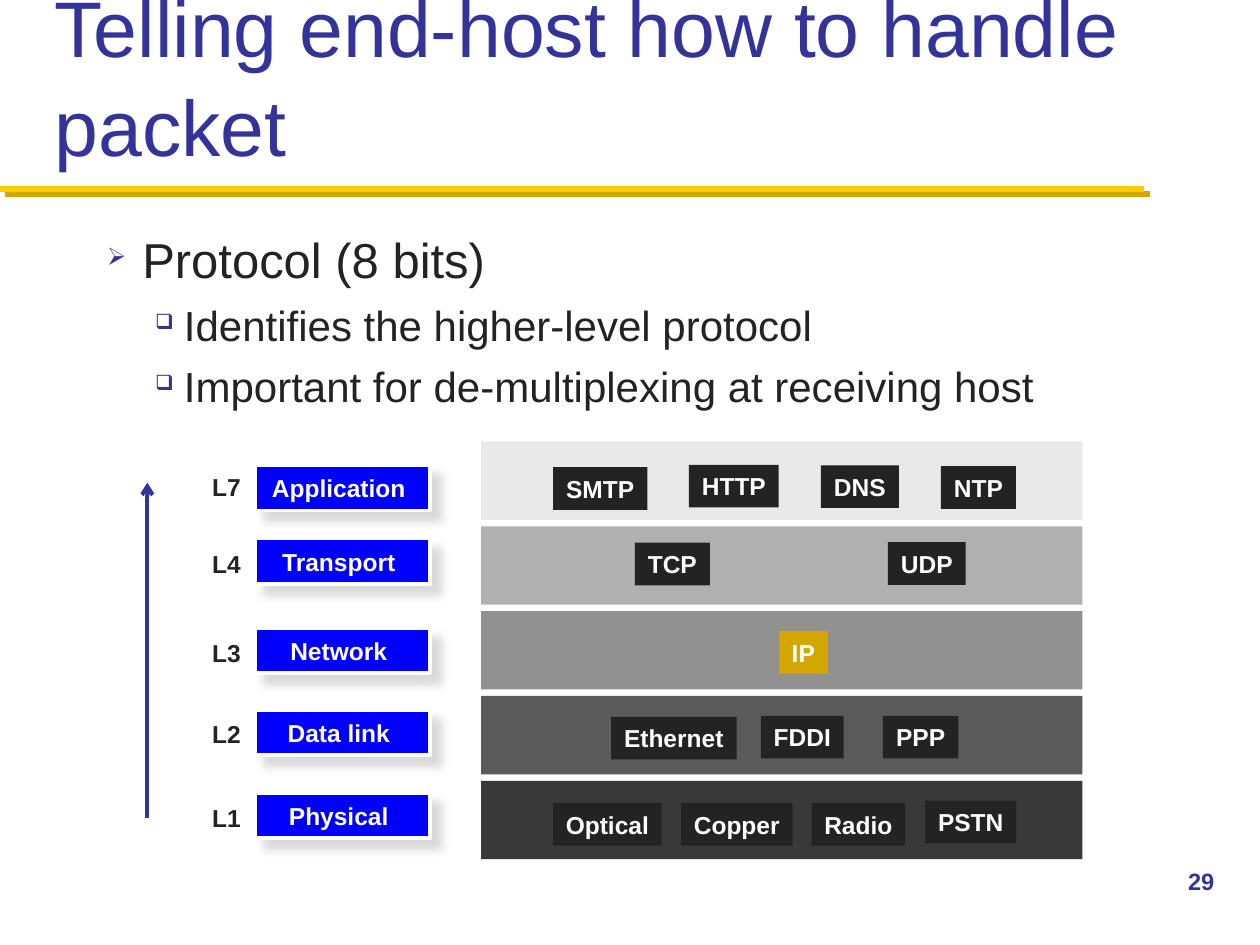
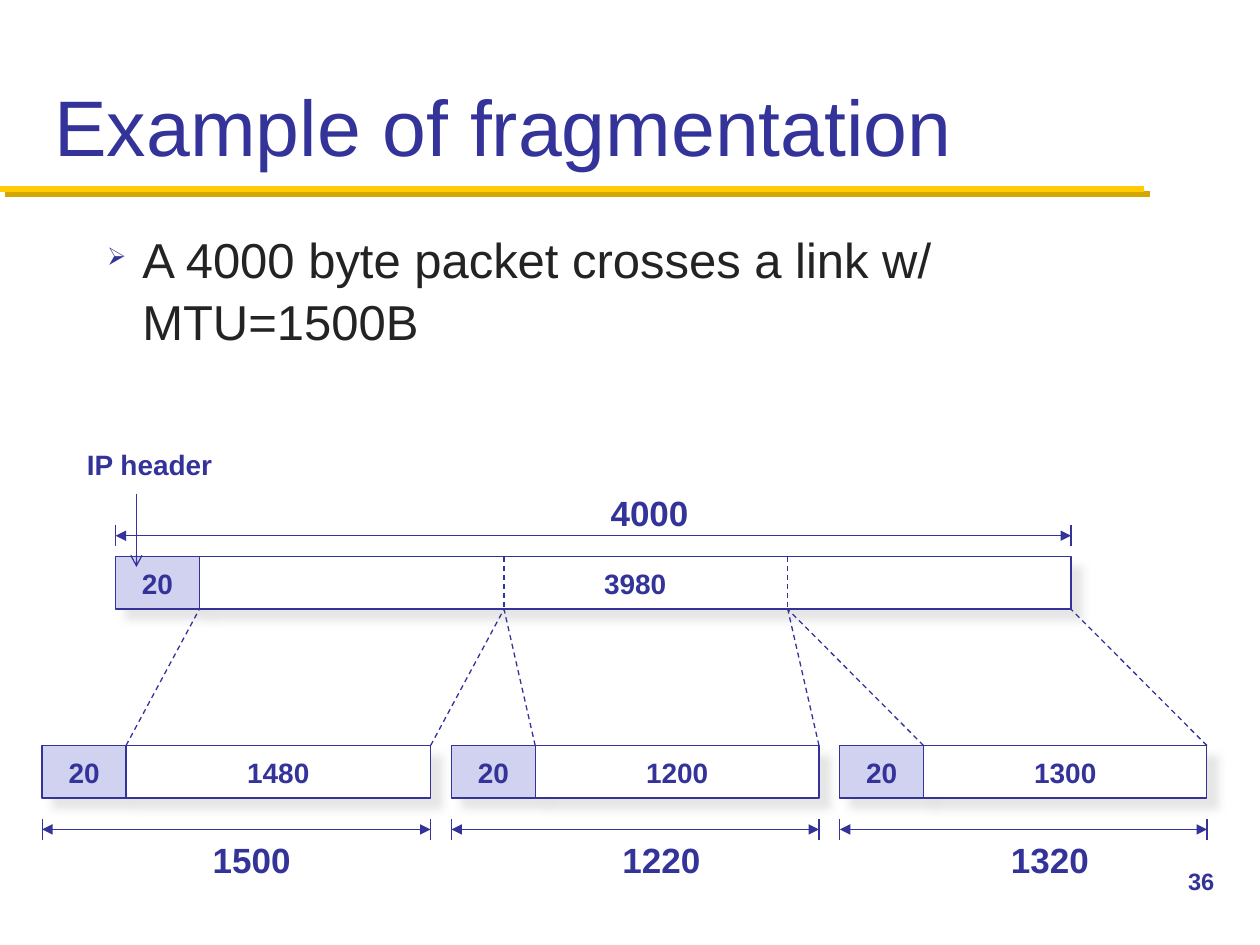
"""Build two networking slides: protocol layers and packet fragmentation."""
from dataclasses import dataclass

from lxml import etree
from pptx import Presentation
from pptx.dml.color import RGBColor
from pptx.enum.dml import MSO_LINE
from pptx.enum.shapes import MSO_CONNECTOR, MSO_SHAPE
from pptx.enum.text import MSO_ANCHOR, PP_ALIGN
from pptx.oxml.ns import qn
from pptx.util import Cm, Pt

RECTANGLE = MSO_SHAPE.RECTANGLE
STRAIGHT = MSO_CONNECTOR.STRAIGHT
DASH = MSO_LINE.DASH
LEFT, CENTER = PP_ALIGN.LEFT, PP_ALIGN.CENTER
MIDDLE, BOTTOM = MSO_ANCHOR.MIDDLE, MSO_ANCHOR.BOTTOM


@dataclass(frozen=True)
class Theme:
    font: str = "Arial"
    indigo: RGBColor = RGBColor.from_string("333399")
    lilac: RGBColor = RGBColor.from_string("D1D1F0")
    ink: RGBColor = RGBColor.from_string("232323")
    white: RGBColor = RGBColor.from_string("FFFFFF")
    blue: RGBColor = RGBColor.from_string("0000FF")
    yellow: RGBColor = RGBColor.from_string("FFCB05")
    gold: RGBColor = RGBColor.from_string("D3A600")
    shade: RGBColor = RGBColor.from_string("CECECE")
    title_size: float = 45
    body_sizes: tuple = (28, 24)
    total_size: float = 20
    field_size: float = 16
    layer_size: float = 14
    number_size: float = 13.5
    line_spacing: float = 1.05


THEME = Theme()
RULE_SHADOW = (THEME.gold, 100, 0, 4.2)
LAYER_SHADOW = (THEME.shade, 75, 5, 8)
FIELD_SHADOW = (THEME.shade, 50, 5, 8.5)


def add_shadow(shape, color, opacity, blur, distance):
    effects = shape.element.spPr.find(qn("a:effectLst"))
    shadow = etree.SubElement(
        effects, qn("a:outerShdw"), blurRad=str(Pt(blur)), dist=str(Pt(distance)),
        dir="2700000", algn="ctr", rotWithShape="0")
    tint = etree.SubElement(shadow, qn("a:srgbClr"), val=str(color))
    etree.SubElement(tint, qn("a:alpha"), val=str(opacity * 1000))


def draw(slide, place, text="", size=THEME.layer_size, color=THEME.indigo, fill=None,
         line=None, width=0.75, bold=True, align=CENTER, anchor=MIDDLE, wrap=False,
         shadow=None, link=False, dash=None, head=None, tail=None):
    place = [Cm(length) for length in place]
    if link:
        shape = slide.shapes.add_connector(STRAIGHT, *place)
        etree.SubElement(shape.element.spPr, qn("a:effectLst"))
    elif fill is None:
        shape = slide.shapes.add_textbox(*place)
    else:
        shape = slide.shapes.add_shape(RECTANGLE, *place)
        shape.shadow.inherit = False
        shape.fill.solid()
        shape.fill.fore_color.rgb = fill
    if line is not None:
        shape.line.color.rgb = line
        shape.line.width = Pt(width)
        if dash:
            shape.line.dash_style = dash
        for end, arrow in (("a:headEnd", head), ("a:tailEnd", tail)):
            if arrow:
                etree.SubElement(shape.element.spPr.find(qn("a:ln")), qn(end), type=arrow)
    elif not link:
        shape.line.fill.background()
    if shadow:
        add_shadow(shape, *shadow)
    if text:
        frame = shape.text_frame
        frame.word_wrap = wrap
        frame.vertical_anchor = anchor
        paragraph = frame.paragraphs[0]
        paragraph.text = text
        paragraph.alignment = align
        paragraph.font.name = THEME.font
        paragraph.font.size = Pt(size)
        paragraph.font.bold = bold
        paragraph.font.color.rgb = color
    return shape


deck = Presentation()
deck.slide_width, deck.slide_height = Cm(25.4), Cm(19.05)
blank = deck.slide_layouts[6]

contents = [
    ("Telling end-host how to handle packet", "29",
     [(0, "Protocol (8 bits)"),
      (1, "Identifies the higher-level protocol"),
      (1, "Important for de-multiplexing at receiving host")]),
    ("Example of fragmentation", "36",
     [(0, "A 4000 byte packet crosses a link w/ MTU=1500B")]),
]
bullets = [("➢", 0.71, 0.71), ("❑", 1.55, 0.58)]

for title, number, points in contents:
    slide = deck.slides.add_slide(blank)
    draw(slide, (0, 3.81, 23.07, 3.81), line=THEME.yellow, width=3.5,
         shadow=RULE_SHADOW, link=True)
    heading = draw(slide, (0.85, 0.42, 23.7, 3.18), title, THEME.title_size,
                   bold=False, align=LEFT, anchor=BOTTOM, wrap=True)
    heading.text_frame.paragraphs[0].line_spacing = THEME.line_spacing
    body = slide.shapes.add_textbox(Cm(1.91), Cm(4.45), Cm(22.02), Cm(12.27)).text_frame
    body.word_wrap = True
    for index, (level, point) in enumerate(points):
        paragraph = body.add_paragraph() if index else body.paragraphs[0]
        paragraph.text = point
        paragraph.level = level
        paragraph.line_spacing = THEME.line_spacing
        size = THEME.body_sizes[level]
        if index:
            paragraph.space_before = Pt(size * 0.2)
        mark, margin, hanging = bullets[level]
        properties = paragraph._p.get_or_add_pPr()
        properties.set("marL", str(Cm(margin)))
        properties.set("indent", str(-Cm(hanging)))
        bullet_color = etree.SubElement(properties, qn("a:buClr"))
        etree.SubElement(bullet_color, qn("a:srgbClr"), val=str(THEME.indigo))
        etree.SubElement(properties, qn("a:buSzPct"), val="50000")
        etree.SubElement(properties, qn("a:buChar"), char=mark)
        paragraph.font.name = THEME.font
        paragraph.font.size = Pt(size)
        paragraph.font.color.rgb = THEME.ink
    draw(slide, (23.7, 17.35, 1.7, 0.84), number, THEME.number_size, align=LEFT)

layers_slide, fragments_slide = deck.slides

layers = [
    ("L7", "Application", "E9E9E9", 9.38, 9.38,
     [("SMTP", 11.15, 9.42, 1.9), ("HTTP", 13.89, 9.37, 1.81),
      ("DNS", 16.55, 9.38, 1.57), ("NTP", 18.97, 9.4, 1.51)]),
    ("L4", "Transport", "B0B0B0", 10.93, 10.86,
     [("TCP", 12.8, 10.94, 1.51), ("UDP", 17.9, 10.93, 1.57)]),
    ("L3", "Network", "919191", 12.73, 12.66,
     [("IP", 15.7, 12.72, 0.99)]),
    ("L2", "Data link", "5A5A5A", 14.36, 14.31,
     [("Ethernet", 12.32, 14.45, 2.53), ("FDDI", 15.34, 14.43, 1.67),
      ("PPP", 17.8, 14.43, 1.52)]),
    ("L1", "Physical", "393939", 16.05, 15.99,
     [("Optical", 11.15, 16.19, 2.19), ("Copper", 13.73, 16.19, 2.25),
      ("Radio", 16.36, 16.19, 1.89), ("PSTN", 18.65, 16.14, 1.84)]),
]

draw(layers_slide, (2.97, 16.48, 2.97, 9.73), line=THEME.indigo, width=2.25,
     link=True, tail="arrow")
for row, (level, layer, band, level_top, layer_top, protocols) in enumerate(layers):
    draw(layers_slide, (9.7, 8.9 + row * 1.71, 12.12, 1.58),
         fill=RGBColor.from_string(band))
    layer_name = draw(layers_slide, (5.14, layer_top, 3.53, 0.91), layer,
                      color=THEME.white, fill=THEME.blue, line=THEME.white, width=2,
                      shadow=LAYER_SHADOW)
    layer_name.text_frame.margin_left = Cm(0.1)
    draw(layers_slide, (4.02, level_top, 1.09, 0.86), level, color=THEME.ink)
    for protocol, left, top, width in protocols:
        draw(layers_slide, (left, top, width, 0.86), protocol, color=THEME.white,
             fill=THEME.gold if protocol == "IP" else THEME.ink)

header_width, field_height = 1.69, 1.06
packet_left, packet_top, fragment_top = 2.33, 11.22, 15.03
packet_bottom = packet_top + field_height
cuts = [4.02, 10.16, 15.88, 21.59]
fragment_lefts = [0.85, 9.1, 16.93]
fragment_spans = list(zip(fragment_lefts, cuts, cuts[1:]))

datagrams = [("3980", "4000", packet_left, packet_top, cuts[-1] - cuts[0], 10.8, 12.04, 9.78)]
for payload, total, label_left, (left, start, stop) in zip(
        ("1480", "1200", "1300"), ("1500", "1220", "1320"),
        (4.02, 12.28, 20.11), fragment_spans):
    datagrams.append((payload, total, left, fragment_top, stop - start,
                      16.72, label_left, 16.76))

for payload, total, left, top, payload_width, ruler, label_left, label_top in datagrams:
    payload_left = left + header_width
    right = payload_left + payload_width
    for text, field_left, width, fill in (
            ("20", left, header_width, THEME.lilac),
            (payload, payload_left, payload_width, THEME.white)):
        draw(fragments_slide, (field_left, top, width, field_height), text,
             THEME.field_size, fill=fill, line=THEME.indigo, shadow=FIELD_SHADOW)
    for tick in (left, right):
        draw(fragments_slide, (tick, ruler - 0.21, tick, ruler + 0.21),
             line=THEME.indigo, link=True)
    draw(fragments_slide, (left, ruler, right, ruler), line=THEME.indigo,
         link=True, head="triangle", tail="triangle")
    draw(fragments_slide, (label_left, label_top, 2.11, 1.12), total, THEME.total_size)

for left, start, stop in fragment_spans:
    payload_left = left + header_width
    for cut in (start, stop):
        draw(fragments_slide, (payload_left + cut - start, fragment_top, cut, packet_bottom),
             line=THEME.indigo, link=True, dash=DASH)
for cut in cuts[1:-1]:
    draw(fragments_slide, (cut, packet_top, cut, packet_bottom),
         line=THEME.indigo, link=True, dash=DASH)

draw(fragments_slide, (1.48, 8.89, 3.07, 0.94), "IP header", THEME.field_size)
draw(fragments_slide, (2.75, 9.95, 2.75, 11.43), line=THEME.indigo, link=True, tail="arrow")

deck.save("out.pptx")
